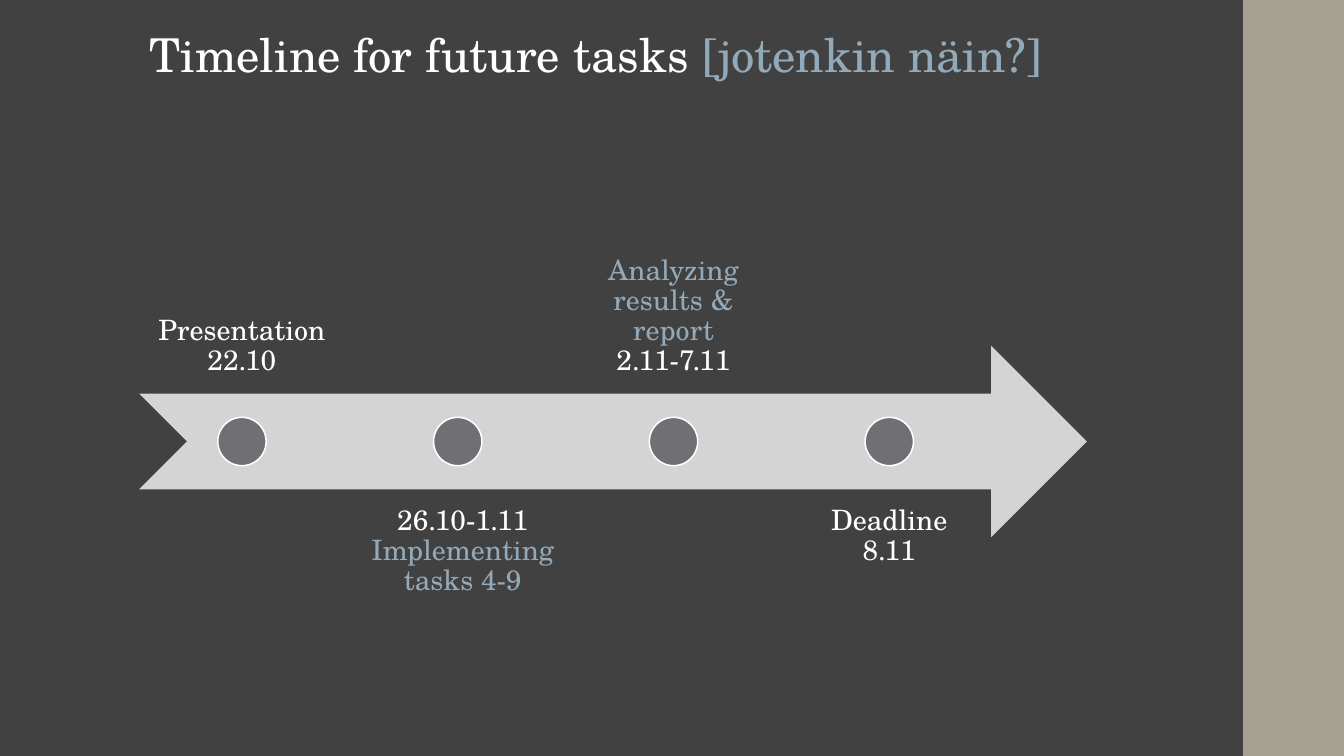
from pptx import Presentation
from pptx.dml.color import RGBColor
from pptx.enum.shapes import MSO_SHAPE
from pptx.enum.text import MSO_ANCHOR, MSO_AUTO_SIZE, PP_ALIGN
from pptx.util import Inches, Pt

DARK, SAND, WHITE = "414141", "A7A192", "FFFFFF"
BLUE, SILVER, GREY = "92A9B9", "D4D4D5", "6F6F74"


def tint(color, value):
    color.rgb = RGBColor.from_string(value)


def write(frame, paras, size=20, align=PP_ALIGN.CENTER, anchor=MSO_ANCHOR.TOP,
          pad=(0.16, 0.16), font="TeX Gyre Schola"):
    frame.word_wrap = True
    frame.auto_size = MSO_AUTO_SIZE.NONE
    frame.vertical_anchor = anchor
    frame.margin_left = frame.margin_right = Inches(pad[0])
    frame.margin_top = frame.margin_bottom = Inches(pad[1])
    for i, runs in enumerate(paras):
        para = frame.add_paragraph() if i else frame.paragraphs[0]
        para.alignment = align
        para.line_spacing = 0.9
        para.space_before = para.space_after = Pt(0)
        for text, color in runs:
            run = para.add_run()
            run.text = text
            run.font.name = font
            run.font.size = Pt(size)
            tint(run.font.color, color)


class Deck:
    """Holds the style and the current slide."""

    def __init__(self):
        self.show = Presentation()
        self.show.slide_width = Inches(13.33)
        self.show.slide_height = Inches(7.5)
        self.slide = self.show.slides.add_slide(self.show.slide_layouts[5])
        fill = self.slide.background.fill
        fill.solid()
        tint(fill.fore_color, DARK)

    def title(self, box, runs):
        head = self.slide.shapes.title
        head.left, head.top, head.width, head.height = map(Inches, box)
        write(head.text_frame, [runs], size=33.3, align=PP_ALIGN.LEFT,
              anchor=MSO_ANCHOR.BOTTOM, pad=(0.1, 0.05))

    def shape(self, kind, box, color, line=None):
        item = self.slide.shapes.add_shape(kind, *map(Inches, box))
        item.shadow.inherit = False
        item.fill.solid()
        tint(item.fill.fore_color, color)
        if line:
            tint(item.line.color, line)
            item.line.width = Pt(1.1)
        else:
            item.line.fill.background()

    def label(self, box, paras, anchor):
        item = self.slide.shapes.add_textbox(*map(Inches, box))
        write(item.text_frame, paras, anchor=anchor)


def main():
    deck = Deck()
    deck.shape(MSO_SHAPE.RECTANGLE, (12.33, 0, 1, 7.5), SAND)
    deck.title((1.38, 0.28, 10.6, 0.59),
               [("Timeline for future tasks ", WHITE), ("[jotenkin näin?]", BLUE)])
    deck.shape(MSO_SHAPE.NOTCHED_RIGHT_ARROW, (1.38, 3.43, 9.4, 1.9), SILVER)

    steps = [
        (2.04, [[("Presentation 22.10", WHITE)]]),
        (2.14, [[("26.10-1.11", WHITE)], [("Implementing tasks 4-9", BLUE)]]),
        (2.04, [[("Analyzing results & report", BLUE)], [("2.11-7.11", WHITE)]]),
        (2.04, [[("Deadline 8.11", WHITE)]]),
    ]
    for i, (width, paras) in enumerate(steps):
        left = 1.38 + 2.14 * i
        top, anchor = (4.86, MSO_ANCHOR.TOP) if i % 2 else (2, MSO_ANCHOR.BOTTOM)
        deck.label((left, top, width, 1.9), paras, anchor)
        deck.shape(MSO_SHAPE.OVAL, (left + 0.78, 4.14, 0.48, 0.48), GREY, line=WHITE)
    deck.show.save("out.pptx")


if __name__ == "__main__":
    main()
